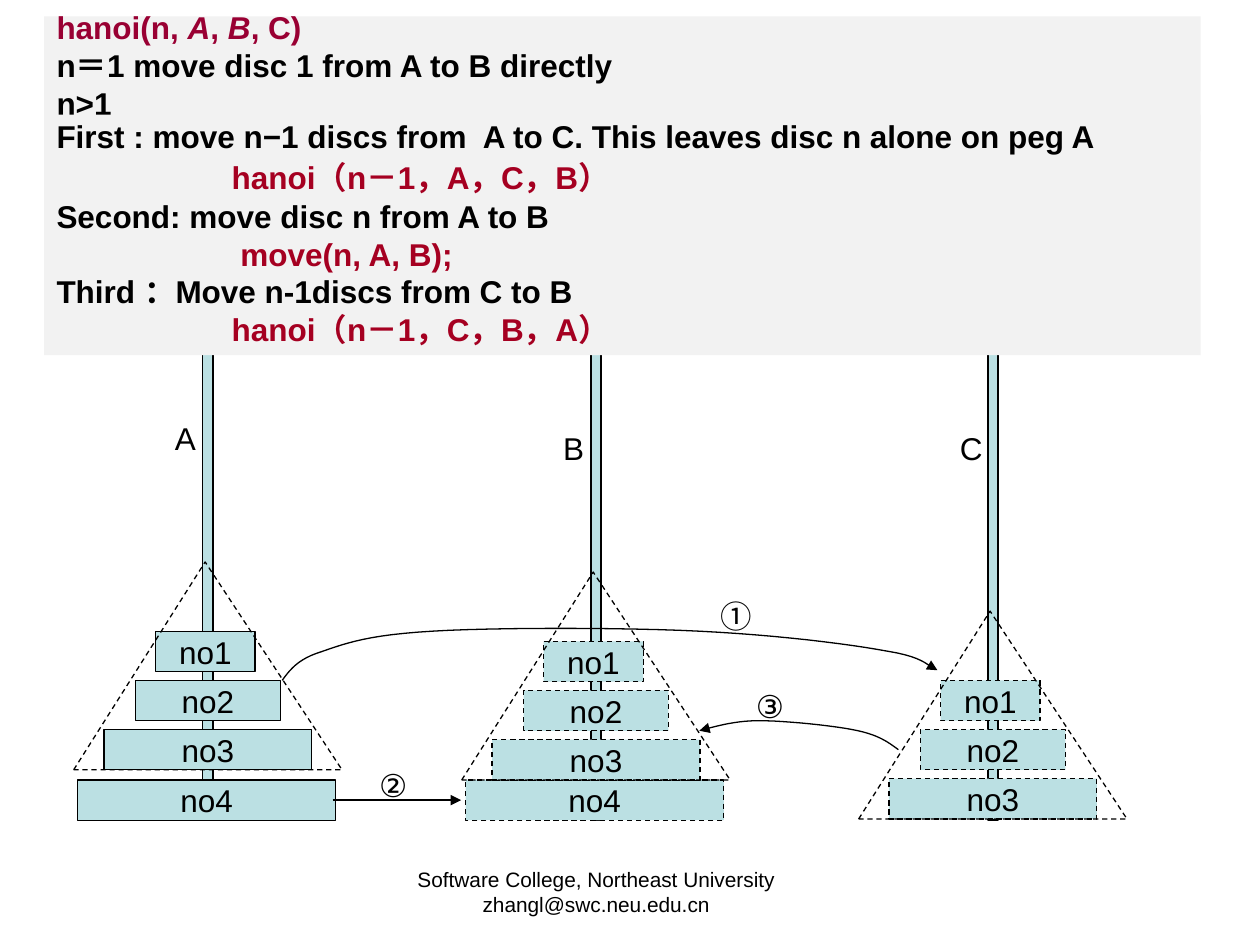
"""Builds the Tower of Hanoi recursion slide."""
import lxml.etree
import pptx
import pptx.dml.color
import pptx.enum.dml
import pptx.enum.shapes
import pptx.enum.text
import pptx.oxml
import pptx.oxml.ns
import pptx.util

COLORS = {"panel": "F2F2F2", "disc": "BBE0E3", "ink": "000000",
          "heading": "990033", "call": "A50021"}
COLUMNS, ROWS = 10, 7.5
CELL = pptx.util.Inches(1)
DISC_HEIGHT, DISC_PITCH = 0.32, 0.39
DISC_WIDTHS = {"no1": 0.79, "no2": 1.15, "no3": 1.65, "no4": 2.05}
DISC_SHIFTS = {"no1": -0.02, "no4": -0.01}
PEGS = {"A": 1.65, "B": 4.73, "C": 7.88}
TRIANGLE = (2.13, 1.65)
SHAPES = pptx.enum.shapes.MSO_SHAPE
CENTER = pptx.enum.text.PP_ALIGN.CENTER
LEFT = pptx.enum.text.PP_ALIGN.LEFT
MIDDLE = pptx.enum.text.MSO_ANCHOR.MIDDLE
BOLD = {"bold": True}
ITALIC = {"bold": True, "italic": True}
STEPS = [
    ("First : move n−1 discs from  A to C. This leaves disc n alone on peg A", "ink", 0,
     {"line_spacing": 0.9}),
    ("hanoi（n－1，A，C，B）", "call", 1.39,
     {"line_spacing": 0.9, "space_before": pptx.util.Pt(4.5)}),
    ("Second: move disc n from A to B", "ink", 0, {}),
    ("move(n, A, B);", "call", 1.46, {}),
    ("Third ：Move n-1discs from C to B", "ink", 0, {}),
    ("hanoi（n－1，C，B，A）", "call", 1.39, {}),
]
FIRST_MOVE = [(2.24, 5.4), (2.3, 5.32), (2.36, 5.23), (2.56, 5.17), (2.76, 5.1),
              (2.93, 5.04), (3.43, 5.01), (3.92, 4.98), (4.95, 4.98), (5.55, 5.01),
              (6.16, 5.04), (6.73, 5.11), (7.05, 5.17), (7.36, 5.22), (7.37, 5.3),
              (7.44, 5.32)]
THIRD_MOVE = [(7.13, 5.95), (7.06, 5.9), (6.99, 5.84), (6.81, 5.8), (6.63, 5.76),
              (6.23, 5.72), (6.02, 5.72), (5.81, 5.72), (5.63, 5.78), (5.55, 5.8)]


def rgb(name):
    """Return the named colour."""
    return pptx.dml.color.RGBColor.from_string(COLORS[name])


def cells(*lengths):
    """Convert grid lengths to slide units."""
    return [round(length * CELL) for length in lengths]


def apply(target, values):
    """Set each value of a dict as an attribute."""
    for name, value in values.items():
        setattr(target, name, value)


def write(paragraph, runs, color="ink", size=18, **layout):
    """Fill a paragraph with (text, font values) runs."""
    apply(paragraph, layout)
    for words, values in runs:
        run = paragraph.add_run()
        run.text = words
        apply(run.font, {"name": "Arial", "size": pptx.util.Pt(size), **values})
        run.font.color.rgb = rgb(color)


def outline(line, dashed=False):
    """Draw a thin black line, dashed for a future position."""
    line.color.rgb = rgb("ink")
    line.width = pptx.util.Pt(0.75)
    if dashed:
        line.dash_style = pptx.enum.dml.MSO_LINE.DASH


def add_block(slide, box, fill=None, lined=True, dashed=False, kind=SHAPES.RECTANGLE):
    """Add a flat preset shape."""
    block = slide.shapes.add_shape(kind, *cells(*box))
    block.shadow.inherit = False
    if fill:
        block.fill.solid()
        block.fill.fore_color.rgb = rgb(fill)
    else:
        block.fill.background()
    if lined:
        outline(block.line, dashed)
    else:
        block.line.fill.background()
    return block


def add_label(slide, words, box, wrap=True, size=18, font="Arial", **layout):
    """Add a one-paragraph text box."""
    frame = slide.shapes.add_textbox(*cells(*box)).text_frame
    frame.word_wrap = wrap
    write(frame.paragraphs[0], [(words, {"name": font})], size=size, **layout)


def add_disc(slide, name, peg, top, dashed):
    """Add a named disc on a peg."""
    width = DISC_WIDTHS[name]
    left = PEGS[peg] + DISC_SHIFTS.get(name, 0) - width / 2
    disc = add_block(slide, (left, top, width, DISC_HEIGHT), "disc", dashed=dashed)
    apply(disc.text_frame, {"word_wrap": False, "vertical_anchor": MIDDLE})
    write(disc.text_frame.paragraphs[0], [(name, {})], alignment=CENTER)


def add_tower(slide, peg, bottom, dashed=True):
    """Add the three smaller discs inside a dashed triangle."""
    for level, name in enumerate(("no3", "no2", "no1")):
        add_disc(slide, name, peg, bottom - DISC_HEIGHT - level * DISC_PITCH, dashed)
    width, height = TRIANGLE
    triangle = add_block(slide, (PEGS[peg] - width / 2, bottom - height, width, height),
                         dashed=True, kind=SHAPES.ISOSCELES_TRIANGLE)
    triangle.adjustments[0] = 0.49


def add_arrowhead(arrow):
    """Put a triangle at the end of a line and drop its shadow."""
    tail = lxml.etree.SubElement(arrow.line._get_or_add_ln(), pptx.oxml.ns.qn("a:tailEnd"))
    tail.set("type", "triangle")
    properties = arrow._element.spPr
    if properties.find(pptx.oxml.ns.qn("a:effectLst")) is None:
        lxml.etree.SubElement(properties, pptx.oxml.ns.qn("a:effectLst"))


def bezier(points, steps=12):
    """Return points along a chain of cubic curves."""
    curve = [points[0]]
    for start in range(0, len(points) - 1, 3):
        corners = points[start:start + 4]
        for step in range(1, steps + 1):
            t = step / steps
            weights = ((1 - t) ** 3, 3 * t * (1 - t) ** 2, 3 * t * t * (1 - t), t ** 3)
            curve.append(tuple(sum(w * corner[axis] for w, corner in zip(weights, corners))
                               for axis in (0, 1)))
    return curve


def add_curved_move(slide, points):
    """Add a curved arrow."""
    start, *rest = [cells(*point) for point in bezier(points)]
    builder = slide.shapes.build_freeform(*start)
    builder.add_line_segments(rest, close=False)
    move = builder.convert_to_shape()
    move.fill.background()
    outline(move.line)
    add_arrowhead(move)


def add_straight_move(slide, start, end):
    """Add a straight arrow."""
    move = slide.shapes.add_connector(pptx.enum.shapes.MSO_CONNECTOR.STRAIGHT,
                                      *cells(*start, *end))
    outline(move.line)
    add_arrowhead(move)


def add_base_case(slide):
    """Add the panel with the signature and the base case."""
    frame = add_block(slide, (0.35, 0.13, 9.18, 1.07), "panel", lined=False).text_frame
    apply(frame, {"word_wrap": True, "vertical_anchor": MIDDLE,
                  "margin_top": 0, "margin_bottom": cells(0.3)[0]})
    write(frame.paragraphs[0], [("hanoi(n, ", BOLD), ("A", ITALIC), (", ", BOLD),
                                ("B", ITALIC), (", C)", BOLD)], "heading", alignment=LEFT)
    for words in ("n＝1 move disc 1 from A to B directly", "n>1"):
        write(frame.add_paragraph(), [(words, BOLD)], alignment=LEFT)


def add_steps(slide):
    """Add the panel with the three recursive steps."""
    frame = add_block(slide, (0.35, 0.91, 9.18, 1.91), "panel", lined=False).text_frame
    apply(frame, {"word_wrap": True, "vertical_anchor": pptx.enum.text.MSO_ANCHOR.TOP})
    for index, (words, color, indent, layout) in enumerate(STEPS):
        paragraph = frame.add_paragraph() if index else frame.paragraphs[0]
        paragraph._p.get_or_add_pPr().set("marL", str(cells(indent)[0]))
        write(paragraph, [(words, BOLD)], color, alignment=LEFT, **layout)


def main():
    """Build and save the slide."""
    deck = pptx.Presentation()
    deck.slide_width, deck.slide_height = cells(COLUMNS, ROWS)
    slide = deck.slides.add_slide(deck.slide_layouts[6])
    add_label(slide, "Software College, Northeast University zhangl@swc.neu.edu.cn",
              (2.72, 6.83, 4.02, 0.52), size=11.9, alignment=CENTER)
    add_base_case(slide)
    for center in PEGS.values():
        add_block(slide, (center - 0.04, 2.81, 0.08, 3.7), "disc")
    add_disc(slide, "no4", "A", 6.19, dashed=False)
    add_tower(slide, "A", 6.11, dashed=False)
    add_tower(slide, "C", 6.5)
    add_disc(slide, "no4", "B", 6.19, dashed=True)
    add_curved_move(slide, FIRST_MOVE)
    add_straight_move(slide, (2.64, 6.35), (3.66, 6.35))
    add_curved_move(slide, THIRD_MOVE)
    for number, left, top, font in (("①", 5.62, 4.69, "Noto Sans CJK SC"),
                                    ("②", 2.91, 6.03, "Arial"), ("③", 5.9, 5.4, "Arial")):
        add_label(slide, number, (left, top, 0.42, 0.4), wrap=False, font=font)
    add_tower(slide, "B", 6.19)
    add_steps(slide)
    for (peg, center), top in zip(PEGS.items(), (3.28, 3.36, 3.36)):
        add_label(slide, peg, (center - 0.36, top, 0.39, 0.4))
    deck.save("out.pptx")


if __name__ == "__main__":
    main()
